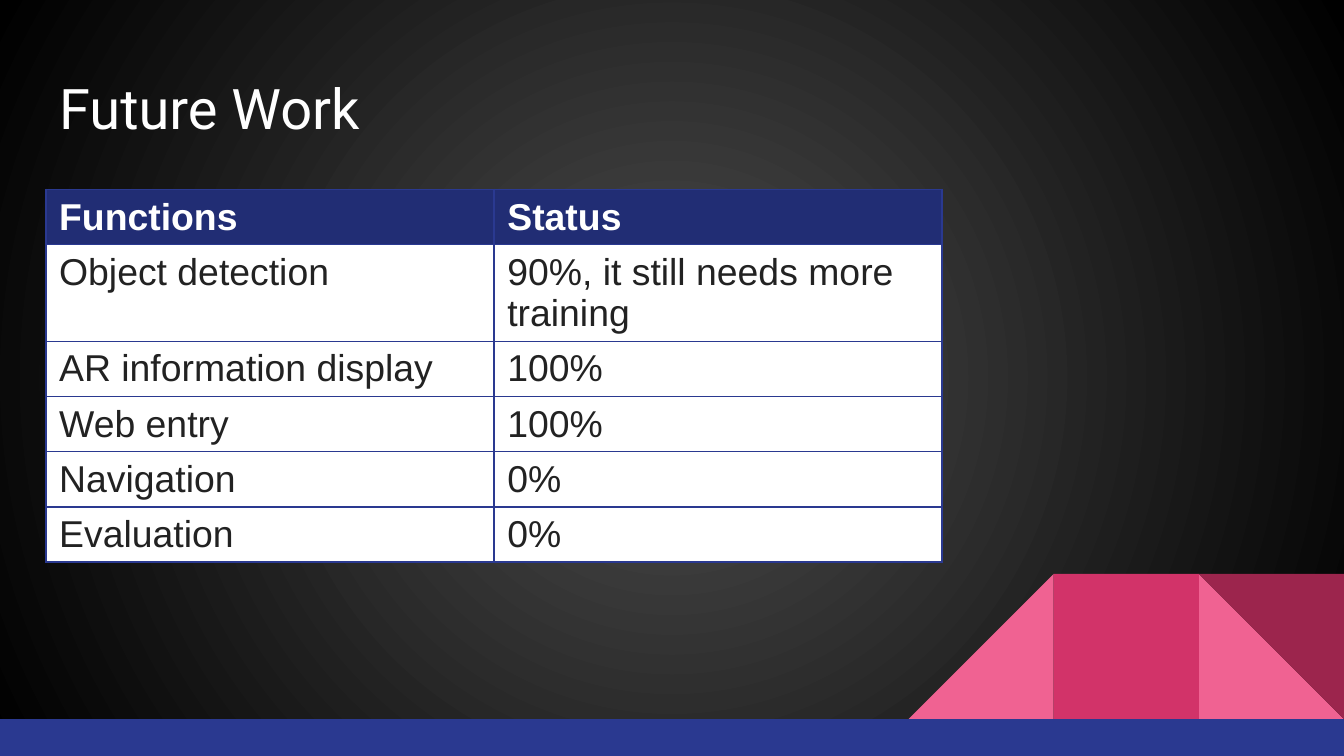
import pptx
import pptx.util
import pptx.dml.color
import pptx.enum.shapes
import pptx.enum.text
import pptx.oxml
import pptx.oxml.ns
import lxml.etree

Inches = pptx.util.Inches
Pt = pptx.util.Pt
qn = pptx.oxml.ns.qn
MSO_SHAPE = pptx.enum.shapes.MSO_SHAPE


def rgb(color):
    return pptx.dml.color.RGBColor.from_string(color)


def add_border(cell, color, width):
    tcPr = cell._tc.get_or_add_tcPr()
    for side in ("lnL", "lnR", "lnT", "lnB"):
        ln = lxml.etree.SubElement(tcPr, qn(f"a:{side}"), w=str(Pt(width)))
        fill = lxml.etree.SubElement(ln, qn("a:solidFill"))
        lxml.etree.SubElement(fill, qn("a:srgbClr"), val=color)


prs = pptx.Presentation()
prs.slide_width = Inches(10)
prs.slide_height = Inches(5.625)
s = prs.slides.add_slide(prs.slide_layouts[5])

bg = s.background.fill
bg.gradient()
for stop, position, color in zip(bg.gradient_stops, (0, 1), ("4D4D4D", "000000")):
    stop.position = position
    stop.color.rgb = rgb(color)
grad = s._element.find(".//" + qn("a:gradFill"))
for lin in grad.findall(qn("a:lin")):
    grad.remove(lin)
circle = lxml.etree.SubElement(grad, qn("a:path"), path="circle")
lxml.etree.SubElement(circle, qn("a:fillToRect"), l="50000", t="50000", r="50000", b="50000")

size = 1.08
floor = 5.35
right = 10 - size
top = floor - size
decor = [
    (MSO_SHAPE.RIGHT_TRIANGLE, right, top, size, size, 0, "F06292"),
    (MSO_SHAPE.RIGHT_TRIANGLE, right - 2 * size, top, size, size, 270, "F06292"),
    (MSO_SHAPE.RECTANGLE, right - size, top, size, size, 0, "D23369"),
    (MSO_SHAPE.RIGHT_TRIANGLE, right, top, size, size, 180, "9C254D"),
    (MSO_SHAPE.RECTANGLE, 0, floor, 10, 0.28, 0, "2A3990"),
]
for kind, x, y, w, h, rotation, color in decor:
    sp = s.shapes.add_shape(kind, Inches(x), Inches(y), Inches(w), Inches(h))
    sp.rotation = rotation
    sp.shadow.inherit = False
    sp.fill.solid()
    sp.fill.fore_color.rgb = rgb(color)
    sp.line.fill.background()

title = s.shapes.title
title.left, title.top = Inches(0.34), Inches(0.45)
title.width, title.height = Inches(9.32), Inches(0.66)
tf = title.text_frame
tf.text = "Future Work"
tf.auto_size = pptx.enum.text.MSO_AUTO_SIZE.NONE
tf.vertical_anchor = pptx.enum.text.MSO_ANCHOR.TOP
tf.margin_left = tf.margin_right = tf.margin_top = tf.margin_bottom = Inches(0.1)
p = tf.paragraphs[0]
p.alignment = pptx.enum.text.PP_ALIGN.LEFT
p.font.name = "Roboto"
p.font.size = Pt(30)
p.font.color.rgb = rgb("FFFFFF")

rows = [
    ("Functions", "Status"),
    ("Object detection", "90%, it still needs more training"),
    ("AR information display", "100%"),
    ("Web entry", "100%"),
    ("Navigation", "0%"),
    ("Evaluation", "0%"),
]
table = s.shapes.add_table(
    len(rows), 2, Inches(0.34), Inches(1.41), Inches(6.67), Inches(0.41 * len(rows))
).table
for i, row in enumerate(rows):
    header = i == 0
    for j, text in enumerate(row):
        cell = table.cell(i, j)
        add_border(cell, "2A3990", 1)
        cell.fill.solid()
        cell.fill.fore_color.rgb = rgb("212D74" if header else "FFFFFF")
        cell.text = text
        p = cell.text_frame.paragraphs[0]
        p.font.name = "Arial"
        p.font.size = Pt(20)
        p.font.bold = header
        p.font.color.rgb = rgb("FFFFFF" if header else "222222")

prs.save("out.pptx")
